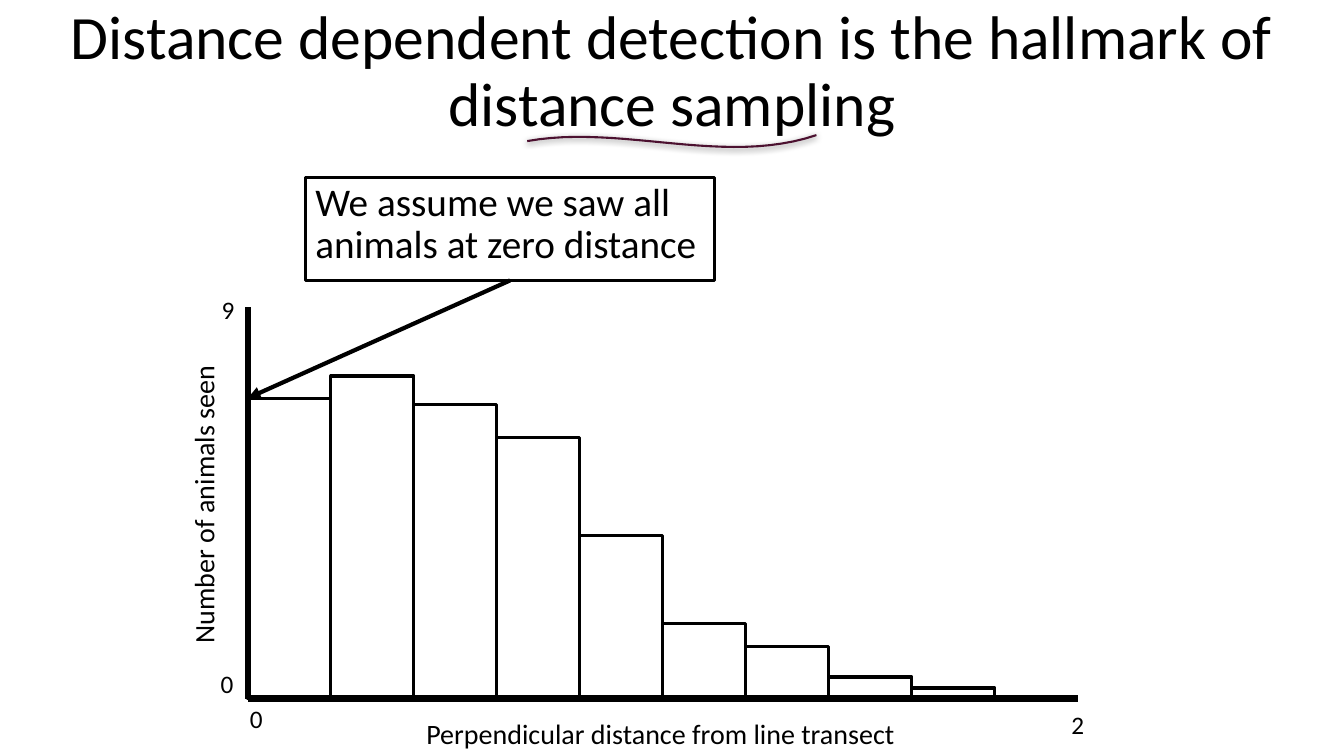
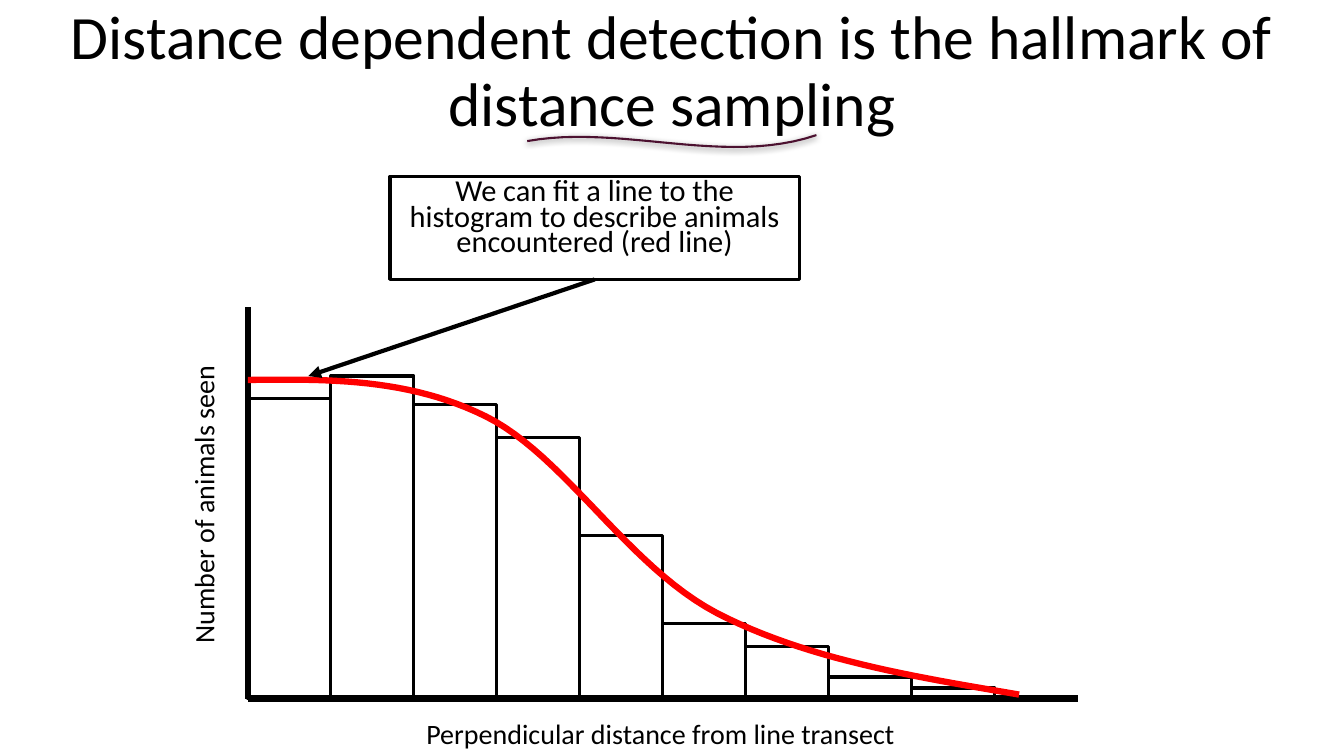
from lxml import etree
from pptx import Presentation
from pptx.dml.color import RGBColor
from pptx.enum import shapes, text
from pptx.oxml import ns
from pptx.util import Pt

# Content
TITLE = "Distance dependent detection is the hallmark of distance sampling"
BAR_HEIGHTS = [214.6, 230.4, 209.8, 186.4, 116.2, 53.8, 37, 15.4, 7.6]
AXIS_LABELS = [  # text, left, top, width, rotation
    ("Number of animals seen", 38.2, 343.4, 214.6, 270),
    ("Perpendicular distance from line transect", 297.4, 508.3, 363.6, 0),
]
TICK_LABELS = [  # text, left, top
    ("0", 171.4, 499), ("2", 758.2, 503.3), ("0", 150.5, 473.8), ("9", 151.2, 206.6),
]
SLIDES = [
    dict(note="We assume we saw all animals at zero distance",
         box=(218.2, 126.7), format=dict(size=28, spacing=0.9),
         target=(177.1, 284.4), ticks=TICK_LABELS, fitted=False),
    dict(note="We can fit a line to the histogram to describe animals encountered (red line)",
         box=(278.6, 126), format=dict(size=21.7, spacing=0.7, align=text.PP_ALIGN.CENTER),
         target=(220.3, 268.6), ticks=[], fitted=True),
]

# Shared look; curves are a start point followed by Bezier triples
COLORS = {"ink": "000000", "bar": "FFFFFF", "underline": "4C1130", "fit": "FF0000"}
FONT = "Calibri"
SLIDE_WIDTH, SLIDE_HEIGHT = 960, 540
ORIGIN_X, BASELINE, AXIS_TOP, AXIS_RIGHT = 177.1, 499, 219.6, 769.7
BAR_WIDTH = 59.28
NOTE_SIZE = (292.3, 73.6)
UNDERLINE = [(376.6, 100.8), (444.2, 88.6), (517.7, 118.8), (583.2, 96.5)]
FIT = [(177.1, 271.4), (234, 270.7), (291.6, 270), (347, 297.4),
       (403.2, 325.4), (448.6, 404.6), (511.9, 437.8),
       (576, 470.9), (651.6, 483.1), (727.9, 496.1)]


def write(shape, words, size, align=text.PP_ALIGN.LEFT, spacing=None,
          anchor=text.MSO_ANCHOR.TOP, wrap=True):
    frame = shape.text_frame
    frame.auto_size = text.MSO_AUTO_SIZE.NONE
    frame.word_wrap = wrap
    frame.vertical_anchor = anchor
    frame.text = words
    paragraph = frame.paragraphs[0]
    paragraph.alignment = align
    if spacing:
        paragraph.line_spacing = spacing
    paragraph.font.size = Pt(size)
    paragraph.font.name = FONT
    paragraph.font.color.rgb = RGBColor.from_string(COLORS["ink"])


def place(shape, left, top, width, height):
    shape.left, shape.top, shape.width, shape.height = map(Pt, (left, top, width, height))


def outline(shape, color, width):
    shape.line.color.rgb = RGBColor.from_string(COLORS[color])
    shape.line.width = Pt(width)


def add_box(slide, left, top, width, height, fill=None):
    shape = slide.shapes.add_shape(shapes.MSO_SHAPE.RECTANGLE,
                                   *map(Pt, (left, top, width, height)))
    shape.shadow.inherit = False
    if fill:
        shape.fill.solid()
        shape.fill.fore_color.rgb = RGBColor.from_string(COLORS[fill])
    else:
        shape.fill.background()
    outline(shape, "ink", 2.25)
    return shape


def add_line(slide, start, end, width, arrow=False):
    line = slide.shapes.add_connector(shapes.MSO_CONNECTOR.STRAIGHT, *map(Pt, start + end))
    outline(line, "ink", width)
    if arrow:
        etree.SubElement(line.line._get_or_add_ln(), ns.qn("a:tailEnd"), type="triangle")
    etree.SubElement(line._element.spPr, ns.qn("a:effectLst"))
    return line


def add_label(slide, words, left, top, width, height, size, rotation=0):
    label = slide.shapes.add_textbox(*map(Pt, (left, top, width, height)))
    label.rotation = rotation
    write(label, words, size, wrap=False)


def bezier(points, steps=24):
    """Sample a chain of cubic curves, without its start point."""
    samples = []
    for first in range(0, len(points) - 1, 3):
        controls = points[first:first + 4]
        for step in range(1, steps + 1):
            t = step / steps
            weights = ((1 - t) ** 3, 3 * t * (1 - t) ** 2, 3 * t * t * (1 - t), t ** 3)
            samples.append(tuple(Pt(sum(w * c for w, c in zip(weights, axis)))
                                 for axis in zip(*controls)))
    return samples


def add_curve(slide, points, color, width):
    builder = slide.shapes.build_freeform(*map(Pt, points[0]))
    builder.add_line_segments(bezier(points), close=False)
    curve = builder.convert_to_shape()
    curve.shadow.inherit = False
    curve.fill.background()
    outline(curve, color, width)
    return curve


def add_underline(slide):
    curve = add_curve(slide, UNDERLINE, "underline", 1.5)
    effects = curve._element.spPr.find(ns.qn("a:effectLst"))
    shadow = etree.SubElement(effects, ns.qn("a:outerShdw"), blurRad=str(Pt(4.5)),
                              dist=str(Pt(1.5)), dir="5400000", algn="bl", rotWithShape="0")
    color = etree.SubElement(shadow, ns.qn("a:srgbClr"), val=COLORS["ink"])
    etree.SubElement(color, ns.qn("a:alpha"), val="50000")


def add_histogram(slide):
    for index, height in enumerate(BAR_HEIGHTS):
        add_box(slide, ORIGIN_X + index * BAR_WIDTH, BASELINE - height,
                BAR_WIDTH, height, fill="bar")
    for end in ((ORIGIN_X, AXIS_TOP), (AXIS_RIGHT, BASELINE)):
        add_line(slide, (ORIGIN_X, BASELINE), end, 4.5)
    for words, left, top, width, rotation in AXIS_LABELS:
        add_label(slide, words, left, top, width, 31.7, 20, rotation)


def build_slide(presentation, content):
    slide = presentation.slides.add_slide(presentation.slide_layouts[5])
    title = slide.shapes.title
    place(title, 0, 0, SLIDE_WIDTH, 104.4)
    write(title, TITLE, 44, text.PP_ALIGN.CENTER, 0.9, text.MSO_ANCHOR.MIDDLE)
    add_histogram(slide)
    if content["fitted"]:
        add_curve(slide, FIT, "fit", 4.5)

    # Note with its arrow
    left, top = content["box"]
    width, height = NOTE_SIZE
    note = add_box(slide, left, top, width, height)
    write(note, content["note"], **content["format"])
    arrow = add_line(slide, (left + width / 2, top + height), content["target"], 3, arrow=True)
    arrow.begin_connect(note, 2)

    add_underline(slide)
    for words, left, top in content["ticks"]:
        add_label(slide, words, left, top, 23.8, 28.8, 18)


def main():
    presentation = Presentation()
    presentation.slide_width, presentation.slide_height = Pt(SLIDE_WIDTH), Pt(SLIDE_HEIGHT)
    for content in SLIDES:
        build_slide(presentation, content)
    presentation.save("out.pptx")


if __name__ == "__main__":
    main()
